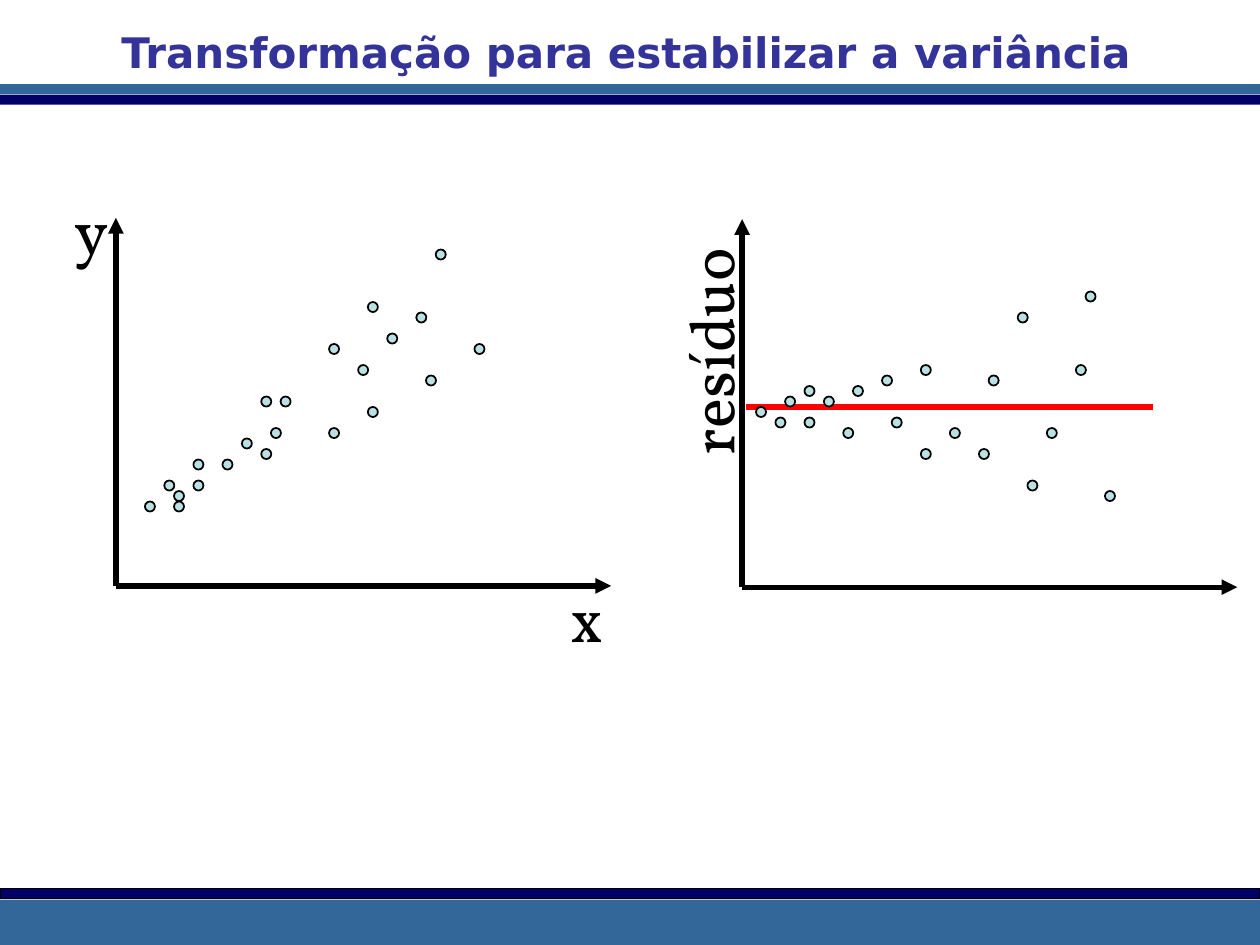
from lxml.etree import SubElement
from pptx import Presentation
from pptx.dml.color import RGBColor
from pptx.enum.shapes import MSO_CONNECTOR, MSO_SHAPE
from pptx.enum.text import MSO_ANCHOR, MSO_AUTO_SIZE, PP_ALIGN
from pptx.oxml.ns import qn
from pptx.util import Inches, Pt

COLORS = {
    "steel": "336699",
    "navy": "000066",
    "white": "FFFFFF",
    "black": "000000",
    "title": "333399",
    "dot": "BBE0E3",
    "zero": "FF0000",
}
DOT_SIZE = 0.08
STEP_X = 1 / 13
STEP_Y = 1 / 12

BANDS = [
    (0.67, 10, 0.08, "steel", "steel"),
    (0.75, 10, 0.17, "white", "white"),
    (0.75, 10.03, 0.08, "navy", None),
    (7.14, 10, 0.36, "steel", None),
    (7.05, 10, 0.08, "navy", "black"),
]
DATA_STEPS = [
    (0, 0), (3, 0), (8, 4), (5, 2), (12, 5), (14, 10), (19, 7), (19, 15),
    (23, 9), (22, 13), (23, 19), (25, 16), (29, 12), (28, 18), (34, 15),
    (30, 24), (2, 2), (5, 4), (3, 1), (10, 6), (13, 7), (12, 10),
]
RESIDUAL_STEPS = [
    (0, 0), (2, -1), (3, 1), (5, 2), (7, 1), (9, -2), (10, 2), (5, -1),
    (13, 3), (17, 4), (14, -1), (17, -4), (24, 3), (20, -2), (27, 9),
    (28, -7), (23, -4), (34, 11), (30, -2), (36, -8), (33, 4),
]


def rgb(name):
    return RGBColor.from_string(COLORS[name])


def add_filled(shapes, kind, left, top, width, height, fill, line=None, weight=0.75):
    shape = shapes.add_shape(kind, Inches(left), Inches(top), Inches(width), Inches(height))
    shape.shadow.inherit = False
    shape.fill.solid()
    shape.fill.fore_color.rgb = rgb(fill)
    if line:
        shape.line.color.rgb = rgb(line)
        shape.line.width = Pt(weight)
    else:
        shape.line.fill.background()


def add_line(shapes, start, end, color="black", arrow=False):
    points = [Inches(value) for value in (*start, *end)]
    line = shapes.add_connector(MSO_CONNECTOR.STRAIGHT, *points)
    line.line.color.rgb = rgb(color)
    line.line.width = Pt(3)
    if arrow:
        SubElement(line.line._get_or_add_ln(), qn("a:tailEnd"), type="triangle")
    SubElement(line._element.spPr, qn("a:effectLst"))


def write_text(box, text, font="Vollkorn", size=36, color="black", bold=False,
               align=PP_ALIGN.LEFT, anchor=MSO_ANCHOR.TOP):
    frame = box.text_frame
    frame.word_wrap = False
    frame.auto_size = MSO_AUTO_SIZE.SHAPE_TO_FIT_TEXT
    frame.vertical_anchor = anchor
    para = frame.paragraphs[0]
    para.alignment = align
    span = para.add_run()
    span.text = text
    span.font.name = font
    span.font.size = Pt(size)
    span.font.bold = bold
    span.font.color.rgb = rgb(color)


def place(box, left, top, width, height):
    box.left, box.top = Inches(left), Inches(top)
    box.width, box.height = Inches(width), Inches(height)


def add_label(shapes, text, left, top, width, rotation=0):
    box = shapes.add_textbox(0, 0, 0, 0)
    write_text(box, text)
    place(box, left, top, width, 0.7)
    box.rotation = rotation


def add_axes(shapes, left, bottom):
    for end in ((left, bottom - 2.92), (left + 3.93, bottom)):
        add_line(shapes, (left, bottom), end, arrow=True)


def add_dots(shapes, left, top, steps):
    for across, up in steps:
        add_filled(shapes, MSO_SHAPE.OVAL, left + across * STEP_X, top - up * STEP_Y,
                   DOT_SIZE, DOT_SIZE, "dot", "black", 1)


def main():
    deck = Presentation()
    deck.slide_width, deck.slide_height = Inches(10), Inches(7.5)
    page = deck.slides.add_slide(deck.slide_layouts[5])
    shapes = page.shapes

    for top, width, height, fill, line in BANDS:
        add_filled(shapes, MSO_SHAPE.RECTANGLE, 0, top, width, height, fill, line)
    write_text(shapes.title, "Transformação para estabilizar a variância",
               font="DejaVu Sans", size=24, color="title", bold=True,
               align=PP_ALIGN.CENTER)
    place(shapes.title, 0.83, 0.16, 8.28, 0.5)

    add_axes(shapes, 0.92, 4.65)
    add_label(shapes, "y", 0.49, 1.47, 0.48)
    add_label(shapes, "x", 4.43, 4.55, 0.46)
    add_dots(shapes.add_group_shape().shapes, 1.15, 3.98, DATA_STEPS)

    add_axes(shapes, 5.89, 4.66)
    add_label(shapes, "resíduo", 4.69, 2.42, 1.88, rotation=270)
    add_line(shapes, (5.92, 3.23), (9.15, 3.23), color="zero")
    add_dots(shapes, 6, 3.23, RESIDUAL_STEPS)

    deck.save("out.pptx")


main()
